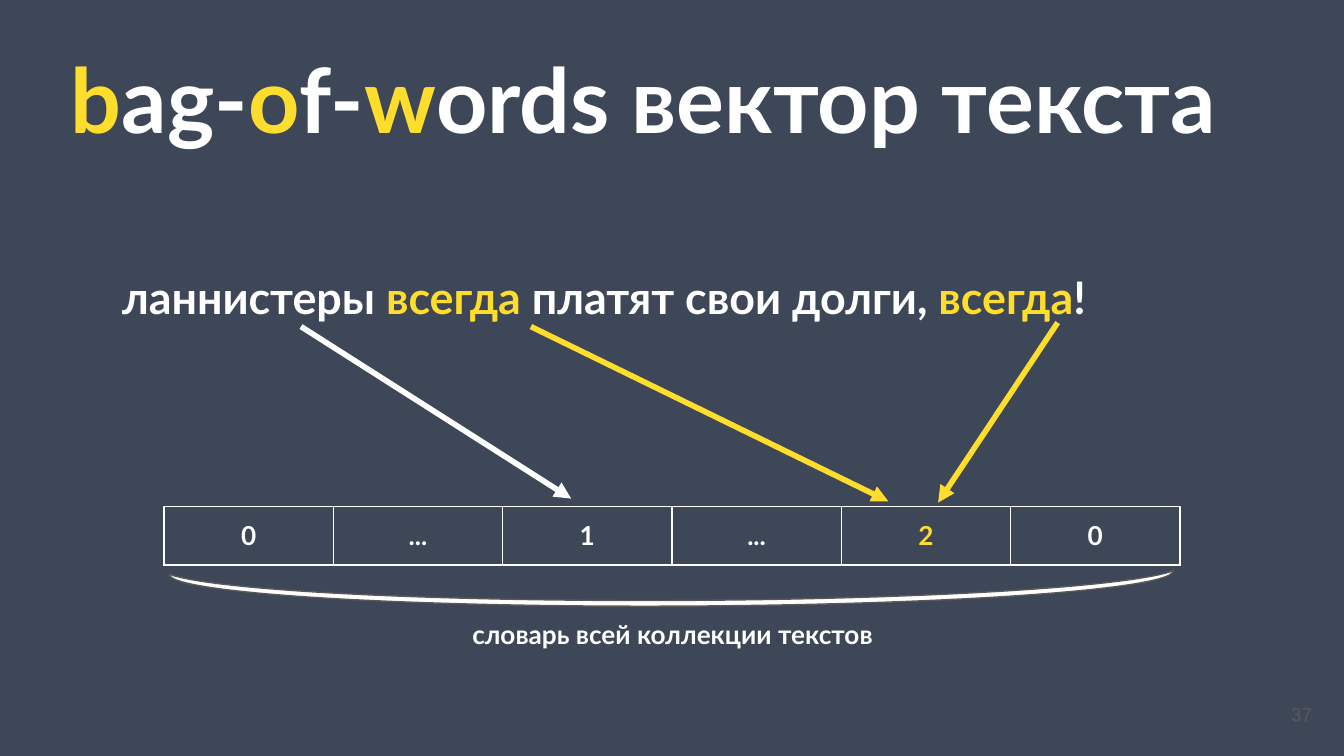
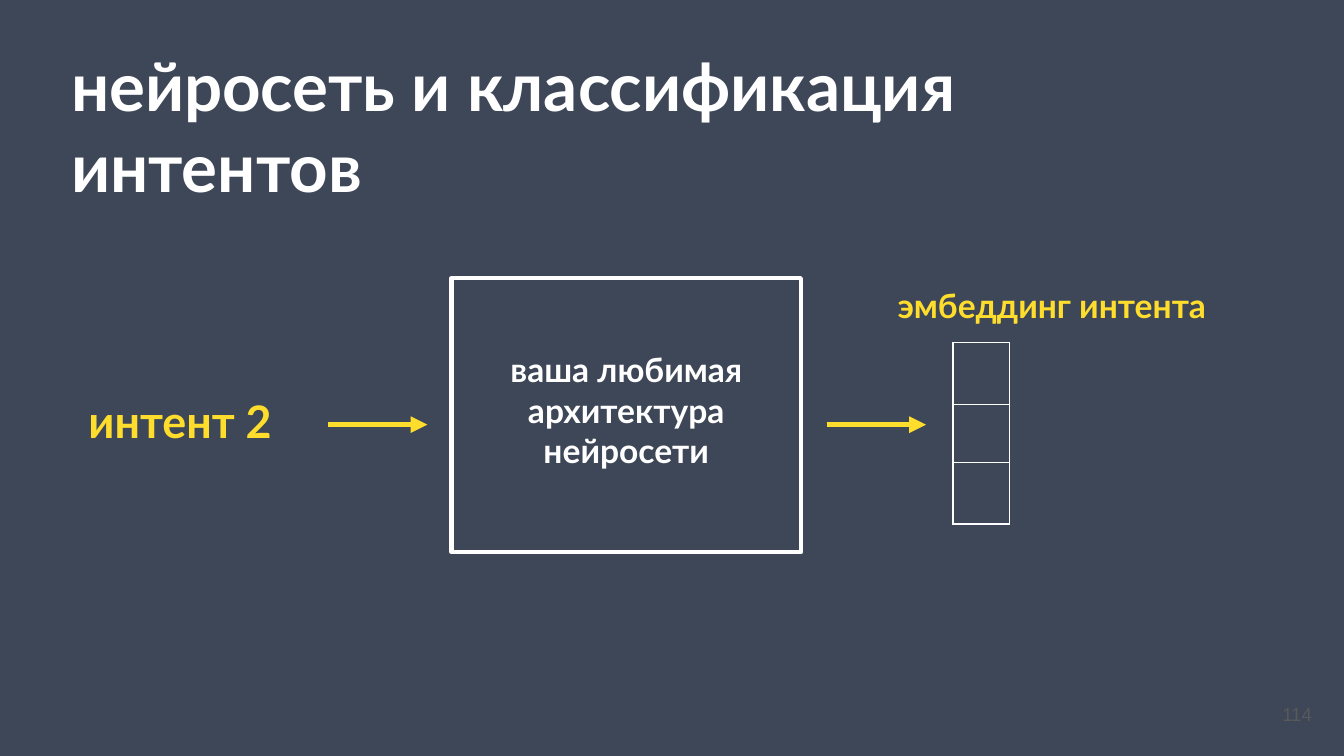
from dataclasses import dataclass

from lxml import etree
from pptx import Presentation
from pptx.dml.color import RGBColor
from pptx.enum.shapes import MSO_CONNECTOR, MSO_SHAPE
from pptx.enum.text import PP_ALIGN
from pptx.oxml.ns import qn
from pptx.util import Inches, Pt

STRAIGHT = MSO_CONNECTOR.STRAIGHT
RECTANGLE = MSO_SHAPE.RECTANGLE
MOON = MSO_SHAPE.MOON
LEFT, CENTER, RIGHT = PP_ALIGN.LEFT, PP_ALIGN.CENTER, PP_ALIGN.RIGHT


@dataclass(frozen=True)
class Theme:
    background: str = "3E4757"
    white: str = "FFFFFF"
    yellow: str = "FFDD2D"
    gray: str = "595959"
    font: str = "Lato"
    number_font: str = "Arial"
    title: int = 48
    long_title: int = 36
    sentence: int = 24
    label: int = 18
    small: int = 14
    number: int = 10
    arrow: float = 3
    frame: float = 2.25
    thin: float = 0.75


THEME = Theme()
WHITE, YELLOW = THEME.white, THEME.yellow

BAG_TITLE = [("b", YELLOW), ("ag-", WHITE), ("o", YELLOW), ("f-", WHITE),
             ("w", YELLOW), ("ords вектор текста", WHITE)]
SENTENCE = [("ланнистеры ", WHITE), ("всегда", YELLOW),
            (" платят свои долги, ", WHITE), ("всегда", YELLOW), ("!", WHITE)]
VECTOR = [("0", WHITE), ("...", WHITE), ("1", WHITE),
          ("...", WHITE), ("2", YELLOW), ("0", WHITE)]
DICTIONARY = [("словарь всей коллекции текстов", WHITE)]
WORD_ARROWS = [((2.24, 2.43), (4.25, 3.71), WHITE),
               ((3.95, 2.43), (6.61, 3.73), YELLOW),
               ((7.87, 2.4), (6.98, 3.74), YELLOW)]

NETWORK_TITLE = [("нейросеть и классификация интентов", WHITE)]
INTENT = [("интент 2", YELLOW)]
NETWORK = [("ваша любимая архитектура нейросети", WHITE)]
EMBEDDING = [("эмбеддинг интента", YELLOW)]
FLOW_STARTS = [2.44, 6.15]
FLOW_Y, FLOW_LENGTH = 3.16, 0.74
EMBEDDING_ROWS = [0.46, 0.43, 0.46]


def color(value):
    return RGBColor.from_string(value)


def add_runs(paragraph, runs, size, font=THEME.font, bold=True):
    for text, run_color in runs:
        run = paragraph.add_run()
        run.text = text
        run.font.name = font
        run.font.size = Pt(size)
        run.font.bold = bold
        run.font.color.rgb = color(run_color)


def add_text(slide, box, runs, size, align=LEFT, inset=0.05, **style):
    frame = slide.shapes.add_textbox(*map(Inches, box)).text_frame
    frame.word_wrap = True
    frame.margin_left = frame.margin_right = Inches(0.1)
    frame.margin_top = frame.margin_bottom = Inches(inset)
    paragraph = frame.paragraphs[0]
    paragraph.alignment = align
    add_runs(paragraph, runs, size, **style)


def add_arrow(slide, start, end, line_color):
    arrow = slide.shapes.add_connector(STRAIGHT, *map(Inches, start + end))
    arrow.line.color.rgb = color(line_color)
    arrow.line.width = Pt(THEME.arrow)
    etree.SubElement(arrow.line._get_or_add_ln(), qn("a:tailEnd"), type="triangle")
    etree.SubElement(arrow._element.spPr, qn("a:effectLst"))


def add_shape(slide, kind, box, line_color, line_width):
    shape = slide.shapes.add_shape(kind, *map(Inches, box))
    shape.shadow.inherit = False
    shape.fill.background()
    shape.line.color.rgb = color(line_color)
    shape.line.width = Pt(line_width)
    return shape


def outline_cell(cell):
    properties = cell._tc.get_or_add_tcPr()
    for side in ("a:lnL", "a:lnR", "a:lnT", "a:lnB"):
        line = etree.SubElement(properties, qn(side), w=str(Pt(THEME.thin)))
        fill = etree.SubElement(line, qn("a:solidFill"))
        etree.SubElement(fill, qn("a:srgbClr"), val=WHITE)
    cell.fill.background()


def add_grid(slide, left, top, columns, rows):
    box = (left, top, sum(columns), sum(rows))
    table = slide.shapes.add_table(len(rows), len(columns), *map(Inches, box)).table
    table.first_row = table.horz_banding = False
    for column, width in zip(table.columns, columns):
        column.width = Inches(width)
    for row, height in zip(table.rows, rows):
        row.height = Inches(height)
    for cell in table.iter_cells():
        outline_cell(cell)
    return table


def add_slide(presentation, title, title_size, title_width, number):
    slide = presentation.slides.add_slide(presentation.slide_layouts[6])
    slide.background.fill.solid()
    slide.background.fill.fore_color.rgb = color(THEME.background)
    add_text(slide, (0.43, 0.23, title_width, 0.88), title, title_size, inset=0.1)
    add_text(slide, (9.26, 5.18, 0.6, 0.27), [(number, THEME.gray)], THEME.number,
             RIGHT, font=THEME.number_font, bold=False)
    return slide


def build_bag_of_words(presentation):
    slide = add_slide(presentation, BAG_TITLE, THEME.title, 9.4, "37")
    add_text(slide, (0.81, 1.91, 8.36, 0.5), SENTENCE, THEME.sentence, inset=0.1)
    table = add_grid(slide, 1.22, 3.77, [1.26] * len(VECTOR), [0.43])
    for cell, entry in zip(table.iter_cells(), VECTOR):
        cell.margin_top = cell.margin_bottom = Inches(0.1)
        paragraph = cell.text_frame.paragraphs[0]
        paragraph.alignment = CENTER
        add_runs(paragraph, [entry], THEME.small)
    add_text(slide, (3.06, 4.55, 3.89, 0.34), DICTIONARY, THEME.small, CENTER)
    brace = add_shape(slide, MOON, (4.87, 0.65, 0.25, 7.47), THEME.gray, THEME.thin)
    brace.fill.solid()
    brace.fill.fore_color.rgb = color(WHITE)
    brace.adjustments[0] = 0.17
    brace.rotation = 269.8
    for start, end, arrow_color in WORD_ARROWS:
        add_arrow(slide, start, end, arrow_color)


def build_network(presentation):
    slide = add_slide(presentation, NETWORK_TITLE, THEME.long_title, 8.22, "114")
    add_shape(slide, RECTANGLE, (3.36, 2.07, 2.6, 2.04), WHITE, THEME.frame)
    add_text(slide, (3.36, 2.55, 2.6, 0.31), NETWORK, THEME.label, CENTER)
    add_text(slide, (0.56, 2.88, 2.6, 0.43), INTENT, THEME.sentence)
    for start in FLOW_STARTS:
        add_arrow(slide, (start, FLOW_Y), (start + FLOW_LENGTH, FLOW_Y), YELLOW)
    add_grid(slide, 7.09, 2.55, [0.42], EMBEDDING_ROWS)
    add_text(slide, (6.58, 2.07, 2.68, 0.69), EMBEDDING, THEME.label)


def main():
    presentation = Presentation()
    presentation.slide_width = Inches(10)
    presentation.slide_height = presentation.slide_width * 9 // 16
    build_bag_of_words(presentation)
    build_network(presentation)
    presentation.save("out.pptx")


if __name__ == "__main__":
    main()
